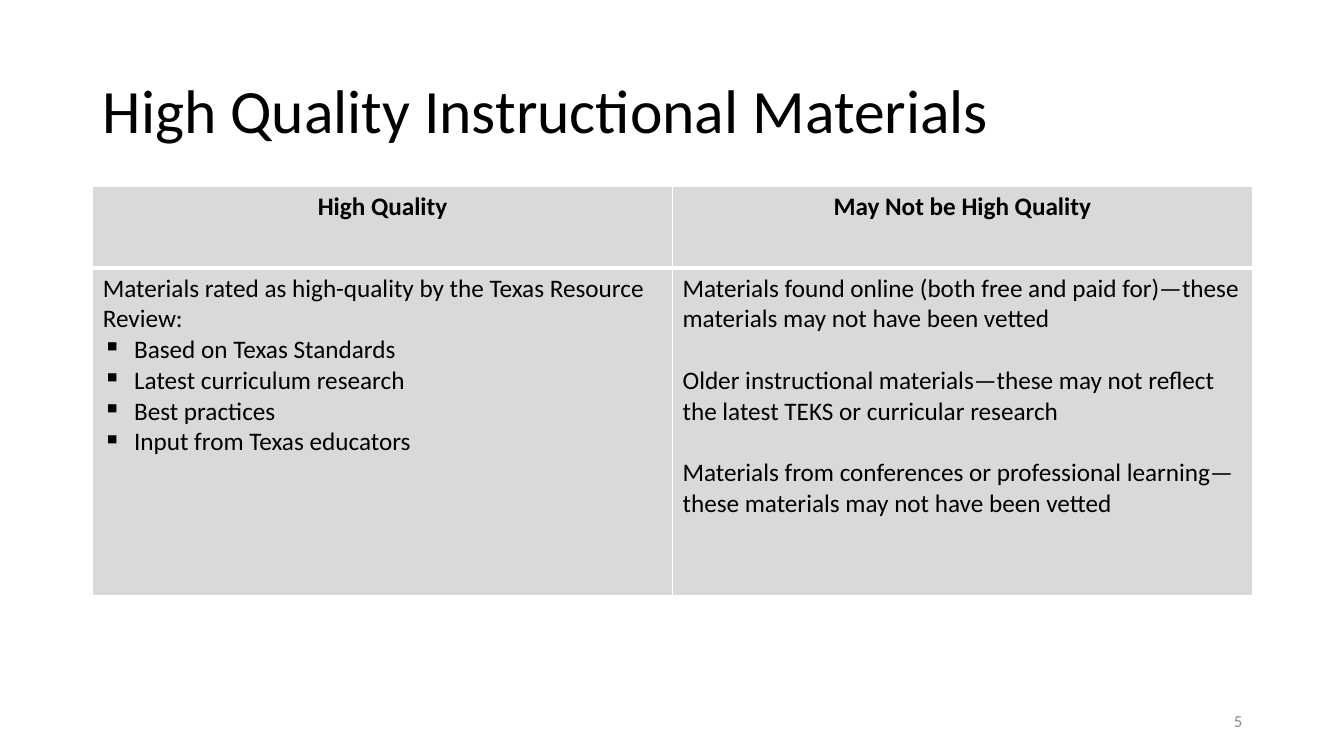
from dataclasses import dataclass

from lxml.etree import SubElement
from pptx import Presentation
from pptx.dml.color import RGBColor
from pptx.enum.text import MSO_ANCHOR as Anchor, PP_ALIGN as Align
from pptx.oxml import parse_xml
from pptx.oxml.ns import nsdecls, qn
from pptx.util import Inches, Pt

TITLE = "High Quality Instructional Materials"
PAGE = "5"
HEADINGS = ["High Quality", "May Not be High Quality"]
RATED = "Materials rated as high-quality by the Texas Resource Review:"
REASONS = [
    "Based on Texas Standards",
    "Latest curriculum research",
    "Best practices",
    "Input from Texas educators",
]
CAUTIONS = [
    "Materials found online (both free and paid for)—these materials may not have been vetted",
    "Older instructional materials—these may not reflect the latest TEKS or curricular research",
    "Materials from conferences or professional learning—these materials may not have been vetted",
]


@dataclass(frozen=True)
class Theme:
    font: str = "Calibri"
    ink: str = "000000"
    muted: str = "8C8C8C"
    panel: str = "D9D9D9"
    rule: str = "FFFFFF"
    title: int = 44
    body: int = 18
    small: int = 12
    thin: int = 1
    thick: int = 3


THEME = Theme()
WIDTH, HEIGHT = 13.33, 7.5
MARGIN = 0.92
CONTENT = 11.5
TITLE_TOP, TABLE_TOP = 0.4, 1.85
ROWS = [0.81, 3.25]
PAGE_WIDTH = 3
INDENT = Inches(0.31)
LINE_GAP = 22


def write(frame, text, size=THEME.body, color=THEME.ink, bold=False, align=Align.LEFT,
          bullet=None, before=0, spacing=None):
    first = frame.paragraphs[0]
    paragraph = frame.add_paragraph() if first.runs else first
    paragraph.alignment = align
    if before:
        paragraph.space_before = Pt(before)
    if spacing:
        paragraph.line_spacing = spacing
    if bullet:
        props = paragraph._p.get_or_add_pPr()
        props.set("marL", str(INDENT))
        props.set("indent", str(-INDENT))
        SubElement(props, qn("a:buChar")).set("char", bullet)
    run = paragraph.add_run()
    run.text = text
    run.font.name = THEME.font
    run.font.size = Pt(size)
    run.font.bold = bold
    run.font.color.rgb = RGBColor.from_string(color)


def add_box(slide, left, top, width, height):
    frame = slide.shapes.add_textbox(*map(Inches, (left, top, width, height))).text_frame
    frame.word_wrap = True
    frame.vertical_anchor = Anchor.MIDDLE
    return frame


def style_cell(cell, row):
    cell.fill.solid()
    cell.fill.fore_color.rgb = RGBColor.from_string(THEME.panel)
    thick_side = "B" if row == 0 else "T"
    for position, side in enumerate("LRTB"):
        weight = Pt(THEME.thick if side == thick_side else THEME.thin)
        cell._tc.get_or_add_tcPr().insert(position, parse_xml(
            f'<a:ln{side} {nsdecls("a")} w="{weight}"><a:solidFill>'
            f'<a:srgbClr val="{THEME.rule}"/></a:solidFill></a:ln{side}>'))


def add_comparison(slide):
    columns = len(HEADINGS)
    table = slide.shapes.add_table(
        len(ROWS), columns,
        *map(Inches, (MARGIN, TABLE_TOP, CONTENT, sum(ROWS)))).table
    for column in table.columns:
        column.width = Inches(CONTENT / columns)
    for row, height in enumerate(ROWS):
        table.rows[row].height = Inches(height)
        for column in range(columns):
            style_cell(table.cell(row, column), row)
    for column, heading in enumerate(HEADINGS):
        write(table.cell(0, column).text_frame, heading, bold=True, align=Align.CENTER)
    quality, doubtful = (table.cell(1, column).text_frame for column in range(columns))
    write(quality, RATED)
    for reason in REASONS:
        write(quality, reason, bullet="▪")
    for index, caution in enumerate(CAUTIONS):
        write(doubtful, caution, before=LINE_GAP if index else 0)


def main():
    deck = Presentation()
    deck.slide_width, deck.slide_height = Inches(WIDTH), Inches(HEIGHT)
    slide = deck.slides.add_slide(deck.slide_layouts[6])
    title = add_box(slide, MARGIN, TITLE_TOP, CONTENT, TABLE_TOP - TITLE_TOP)
    write(title, TITLE, size=THEME.title, spacing=0.9)
    add_comparison(slide)
    page = add_box(slide, MARGIN + CONTENT - PAGE_WIDTH, 6.95, PAGE_WIDTH, 0.4)
    write(page, PAGE, size=THEME.small, color=THEME.muted, align=Align.RIGHT)
    deck.save("out.pptx")


if __name__ == "__main__":
    main()
